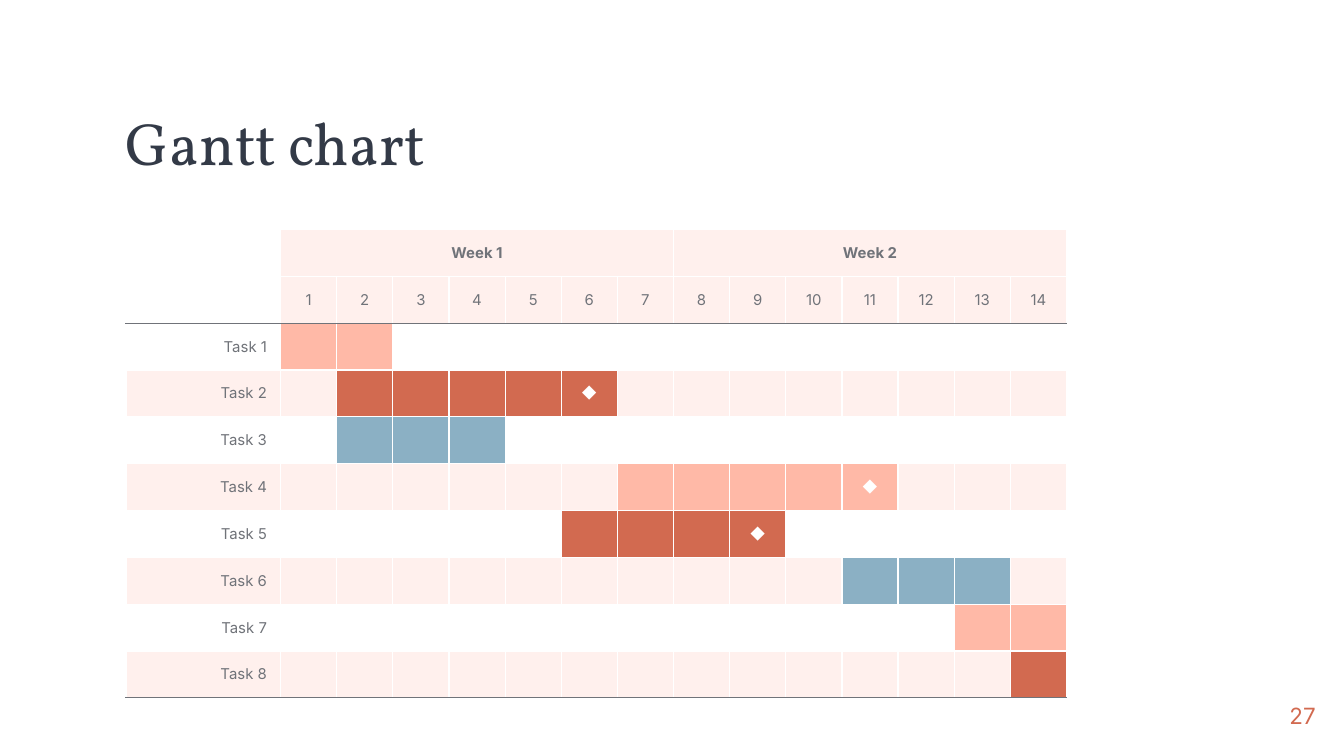
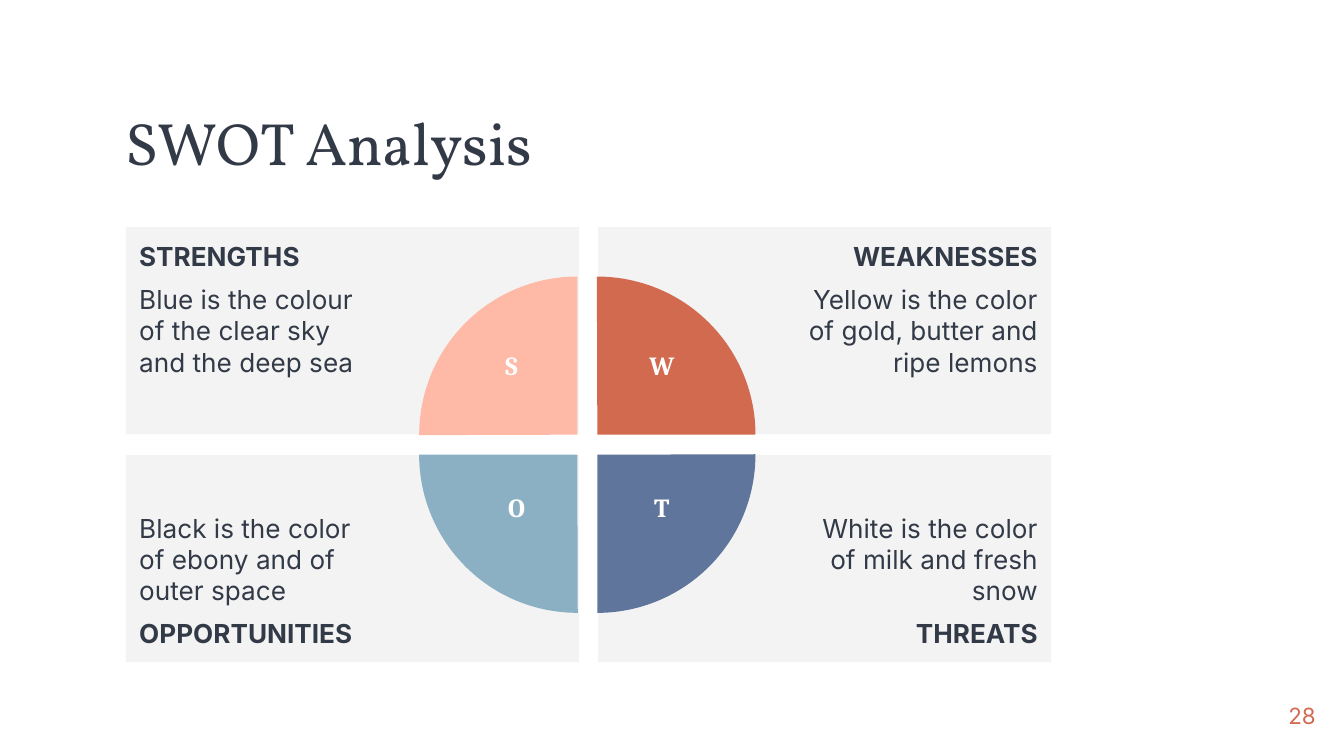
"""Build a Gantt chart slide and a SWOT analysis slide."""
from lxml.etree import SubElement
from pptx import Presentation
from pptx.dml.color import RGBColor
from pptx.enum.shapes import MSO_SHAPE as Shape
from pptx.enum.text import MSO_ANCHOR as Anchor, PP_ALIGN as Align
from pptx.oxml.ns import qn
from pptx.util import Pt

NAVY = RGBColor(0x33, 0x3A, 0x47)
GREY = RGBColor(0x70, 0x73, 0x79)
WHITE = RGBColor(0xFF, 0xFF, 0xFF)
PALE = RGBColor(0xF3, 0xF3, 0xF3)
BLUSH = RGBColor(0xFF, 0xF0, 0xED)
PEACH = RGBColor(0xFF, 0xB9, 0xA7)
RUST = RGBColor(0xD2, 0x6A, 0x50)
SKY = RGBColor(0x8B, 0xB0, 0xC4)
INDIGO = RGBColor(0x5F, 0x75, 0x9B)

TITLE_FONT, BODY_FONT, LETTER_FONT = "Vollkorn", "Inter", "Cambria"
LEFT = 67.5

WEEKS = ["Week 1", "Week 2"]
DAYS_PER_WEEK = 7
DAYS = DAYS_PER_WEEK * len(WEEKS)
TASKS = [
    ("Task 1", 1, 2, PEACH, False),
    ("Task 2", 2, 6, RUST, True),
    ("Task 3", 2, 4, SKY, False),
    ("Task 4", 7, 11, PEACH, True),
    ("Task 5", 6, 9, RUST, True),
    ("Task 6", 11, 13, SKY, False),
    ("Task 7", 13, 14, PEACH, False),
    ("Task 8", 14, 14, RUST, False),
]
MILESTONE = "◆"
HEADER_ROWS = 2
GANTT_TOP, ROW_HEIGHT, NAME_WIDTH, DAY_WIDTH = 123, 25.1, 82.8, 30.1

SWOT = [
    ("STRENGTHS", "Blue is the colour of the clear sky and the deep sea",
     "S", PEACH, 0, 0, 274, 21),
    ("WEAKNESSES", "Yellow is the color of gold, butter and ripe lemons",
     "W", RUST, 1, 0, 354.6, 42.5),
    ("THREATS", "White is the color of milk and fresh snow",
     "T", INDIGO, 1, 1, 354.6, 26.6),
    ("OPPORTUNITIES", "Black is the color of ebony and of outer space",
     "O", SKY, 0, 1, 276.8, 31),
]
PANEL_TOP, PANEL_WIDTH, PANEL_HEIGHT = 121.7, 242.7, 110.9
PANEL_STEP_X, PANEL_STEP_Y = 252.9, 122.2
PANEL_INSET, WHEEL_INSET = 7.2, 108
WHEEL_LEFT, WHEEL_TOP, WHEEL_SIZE, WHEEL_STEP = 224.6, 148.2, 169.4, 10.7
WHEEL_ANGLES = 107.89, 162
LETTER_TOPS, LETTER_HEIGHT = (183.6, 259.9), 31.3


def add_run(paragraph, text, size, color, font=BODY_FONT, bold=False):
    run = paragraph.add_run()
    run.text = text
    run.font.name, run.font.size, run.font.bold = font, Pt(size), bold
    run.font.color.rgb = color


def set_insets(frame, left, top, right, bottom):
    frame.margin_left, frame.margin_top = Pt(left), Pt(top)
    frame.margin_right, frame.margin_bottom = Pt(right), Pt(bottom)


def add_text(slide, box, text, size, color, font=BODY_FONT, align=Align.LEFT):
    frame = slide.shapes.add_textbox(*map(Pt, box)).text_frame
    frame.word_wrap = True
    set_insets(frame, 0, 0, 0, 0)
    frame.vertical_anchor = Anchor.MIDDLE
    paragraph = frame.paragraphs[0]
    paragraph.alignment = align
    add_run(paragraph, text, size, color, font)
    return frame


def add_shape(slide, kind, box, color):
    shape = slide.shapes.add_shape(kind, *map(Pt, box))
    shape.shadow.inherit = False
    shape.fill.solid()
    shape.fill.fore_color.rgb = color
    shape.line.fill.background()
    return shape


def add_slide(presentation, title, number):
    slide = presentation.slides.add_slide(presentation.slide_layouts[6])
    frame = add_text(slide, (LEFT, 59, 358.5, 38.2), title, 32, NAVY, TITLE_FONT)
    frame.paragraphs[0].line_spacing = 0.9
    add_text(slide, (661.7, 368, 43.2, 31), str(number), 12, RUST, align=Align.RIGHT)
    return slide


def set_borders(cell, top, bottom):
    properties = cell._tc.get_or_add_tcPr()
    for side, color in (("L", WHITE), ("R", WHITE), ("T", top), ("B", bottom)):
        line = SubElement(properties, qn(f"a:ln{side}"), w=str(Pt(0.75)))
        fill = SubElement(line, qn("a:solidFill"))
        SubElement(fill, qn("a:srgbClr"), val=str(color))


def gantt_cell(row, column):
    """Return the text, text colour, alignment, boldness and fill of a cell."""
    if row < HEADER_ROWS:
        if column == 0:
            return "", GREY, Align.CENTER, False, None
        if row == 1:
            return str(column), GREY, Align.CENTER, False, BLUSH
        week, day = divmod(column - 1, DAYS_PER_WEEK)
        return "" if day else WEEKS[week], GREY, Align.CENTER, True, BLUSH
    name, start, end, color, milestone = TASKS[row - HEADER_ROWS]
    band = BLUSH if row % 2 else None
    if column == 0:
        return name, GREY, Align.RIGHT, False, band
    text = MILESTONE if milestone and column == end else ""
    return text, WHITE, Align.CENTER, False, color if start <= column <= end else band


def build_gantt(presentation):
    slide = add_slide(presentation, "Gantt chart", 27)
    rows = HEADER_ROWS + len(TASKS)
    table = slide.shapes.add_table(
        rows, DAYS + 1, Pt(LEFT), Pt(GANTT_TOP),
        Pt(NAME_WIDTH + DAYS * DAY_WIDTH), Pt(rows * ROW_HEIGHT)).table
    table.first_row = table.horz_banding = False
    for index, column in enumerate(table.columns):
        column.width = Pt(DAY_WIDTH if index else NAME_WIDTH)
    for row in range(rows):
        table.rows[row].height = Pt(ROW_HEIGHT)
        top = GREY if row == HEADER_ROWS else WHITE
        bottom = GREY if row in (HEADER_ROWS - 1, rows - 1) else WHITE
        for column in range(DAYS + 1):
            cell = table.cell(row, column)
            text, color, align, bold, fill = gantt_cell(row, column)
            set_borders(cell, top, bottom)
            if fill is None:
                cell.fill.background()
            else:
                cell.fill.solid()
                cell.fill.fore_color.rgb = fill
            set_insets(cell, 7.2, 3.6, 7.2, 3.6)
            cell.vertical_anchor = Anchor.MIDDLE
            paragraph = cell.text_frame.paragraphs[0]
            paragraph.alignment = align
            if text:
                add_run(paragraph, text, 8, color, bold=bold)
            else:
                SubElement(paragraph._p, qn("a:endParaRPr"), sz="800")
    for first in range(1, DAYS + 1, DAYS_PER_WEEK):
        table.cell(0, first).merge(table.cell(0, first + DAYS_PER_WEEK - 1))


def add_panel(slide, heading, body, column, row):
    box = (LEFT + column * PANEL_STEP_X, PANEL_TOP + row * PANEL_STEP_Y,
           PANEL_WIDTH, PANEL_HEIGHT)
    frame = add_shape(slide, Shape.RECTANGLE, box, PALE).text_frame
    frame.word_wrap = True
    sides = (WHEEL_INSET, PANEL_INSET) if column else (PANEL_INSET, WHEEL_INSET)
    set_insets(frame, sides[0], PANEL_INSET, sides[1], PANEL_INSET)
    frame.vertical_anchor = Anchor.BOTTOM if row else Anchor.TOP
    for index, text in enumerate((body, heading) if row else (heading, body)):
        paragraph = frame.add_paragraph() if index else frame.paragraphs[0]
        paragraph.alignment = Align.RIGHT if column else Align.LEFT
        if index:
            paragraph.space_before = paragraph.space_after = Pt(6)
        add_run(paragraph, text, 14, NAVY, bold=text == heading)


def build_swot(presentation):
    slide = add_slide(presentation, "SWOT Analysis", 28)
    for heading, body, _, _, column, row, _, _ in SWOT:
        add_panel(slide, heading, body, column, row)
    for turn, (_, _, _, color, column, row, _, _) in enumerate(SWOT):
        box = (WHEEL_LEFT + column * WHEEL_STEP, WHEEL_TOP + row * WHEEL_STEP,
               WHEEL_SIZE, WHEEL_SIZE)
        quarter = add_shape(slide, Shape.PIE, box, color)
        quarter.adjustments[0], quarter.adjustments[1] = WHEEL_ANGLES
        quarter.rotation = 90 * turn
    for _, _, letter, _, _, row, center, width in SWOT:
        box = (center - width / 2, LETTER_TOPS[row], width, LETTER_HEIGHT)
        frame = add_text(slide, box, letter, 14, WHITE, LETTER_FONT, Align.CENTER)
        frame.paragraphs[0].runs[0].font.bold = True
        frame.vertical_anchor = Anchor.TOP
        set_insets(frame, 7.2, 3.6, 7.2, 3.6)


def main():
    presentation = Presentation()
    presentation.slide_width, presentation.slide_height = Pt(720), Pt(405)
    build_gantt(presentation)
    build_swot(presentation)
    presentation.save("out.pptx")


if __name__ == "__main__":
    main()
